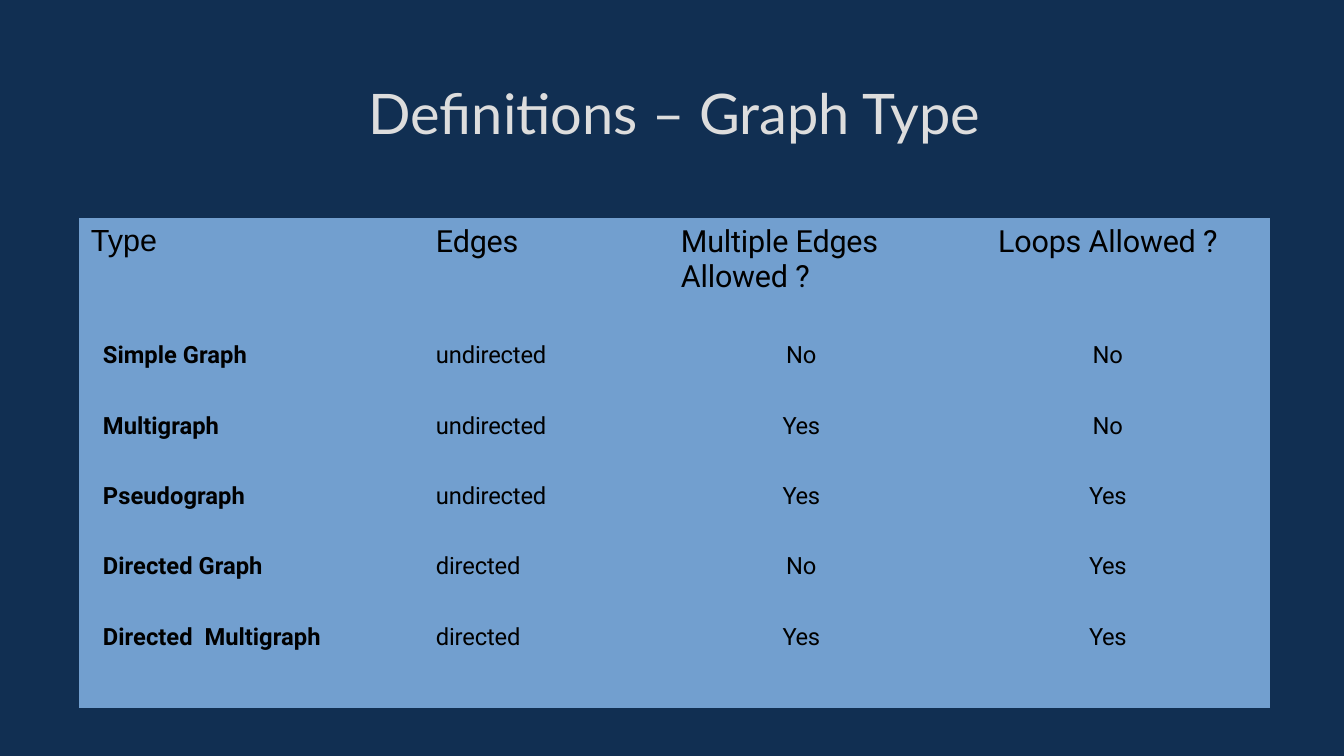
import pptx
import pptx.dml.color
import pptx.enum.text
import pptx.util

ALIGN = pptx.enum.text.PP_ALIGN
PLAIN = "{2D5ABB26-0587-4C30-8999-92F81FD0307C}"  # no style, no grid


def px(num):
    return pptx.util.Emu(round(num * 914400 / 122))


def tint(fill, code):
    fill.solid()
    fill.fore_color.rgb = pptx.dml.color.RGBColor.from_string(code)


class Deck:
    back, cell, ink, pale = "112F52", "729FCF", "000000", "DDDDDD"

    def __init__(self, wide, high):
        self.prs = pptx.Presentation()
        self.prs.slide_width, self.prs.slide_height = px(wide), px(high)
        self.slide = self.prs.slides.add_slide(self.prs.slide_layouts[6])
        tint(self.slide.background.fill, self.back)

    def run(self, para, text, size, face="Roboto", code=ink, bold=False, gap=0):
        run = para.add_run()
        run.text = text
        run.font.size = pptx.util.Pt(size)
        run.font.name = face
        run.font.bold = bold
        tint(run.font.fill, code)
        if gap:
            run.font._element.set("spc", str(gap))

    def title(self, text, left, top, wide, high):
        box = self.slide.shapes.add_textbox(px(left), px(top), px(wide), px(high))
        frame = box.text_frame
        frame.word_wrap = True
        frame.vertical_anchor = pptx.enum.text.MSO_ANCHOR.MIDDLE
        frame.margin_left = frame.margin_right = 0
        frame.margin_top = frame.margin_bottom = 0
        para = frame.paragraphs[0]
        para.alignment = ALIGN.CENTER
        self.run(para, text, 33, "Lato", self.pale)

    def fill(self, cell, text, size, face="Roboto", bold=False, mid=False,
             inset=12, space=3.5):
        tint(cell.fill, self.cell)
        cell.margin_left = cell.margin_right = px(12)
        cell.margin_top = cell.margin_bottom = px(6)
        for num, line in enumerate(text.split("\n")):
            frame = cell.text_frame
            para = frame.add_paragraph() if num else frame.paragraphs[0]
            para.alignment = ALIGN.CENTER if mid else ALIGN.LEFT
            para.space_before = pptx.util.Pt(0 if num else space)
            if inset and not mid:
                para._p.get_or_add_pPr().set("marL", str(px(inset)))
            gap = 0 if bold or face == "Arial" else -30 if line == "Yes" else -10
            self.run(para, line, size, face, bold=bold, gap=gap)

    def table(self, data, left, top, cols, rows):
        grid = self.slide.shapes.add_table(
            len(rows), len(cols), px(left), px(top), px(sum(cols)), px(sum(rows))).table
        grid.first_row = grid.horz_banding = False
        grid._tbl.tblPr[0].text = PLAIN
        for col, wide in zip(grid.columns, cols):
            col.width = px(wide)
        for row, high in zip(grid.rows, rows):
            row.height = px(high)
        # Header row
        for c, text in enumerate(data[0]):
            look = {"face": "Arial", "inset": 0, "space": 0} if c == 0 else {}
            self.fill(grid.cell(0, c), text, 18, mid=c == 3, **look)
        # Graph types
        for r, line in enumerate(data[1:], 1):
            for c, text in enumerate(line):
                self.fill(grid.cell(r, c), text, 14, bold=c == 0, mid=c > 1)


def main():
    deck = Deck(1344, 756)
    deck.title("Definitions – Graph Type", 79, 46, 1191, 133)
    data = [
        ("Type", "Edges", "Multiple Edges\nAllowed ?", "Loops Allowed ?"),
        ("Simple Graph", "undirected", "No", "No"),
        ("Multigraph", "undirected", "Yes", "No"),
        ("Pseudograph", "undirected", "Yes", "Yes"),
        ("Directed Graph", "directed", "No", "Yes"),
        ("Directed  Multigraph", "directed", "Yes", "Yes"),
    ]
    deck.table(data, 79, 218, [333, 245, 289, 324], [117, 71, 70, 70, 71, 91])
    deck.prs.save("out.pptx")


if __name__ == "__main__":
    main()
